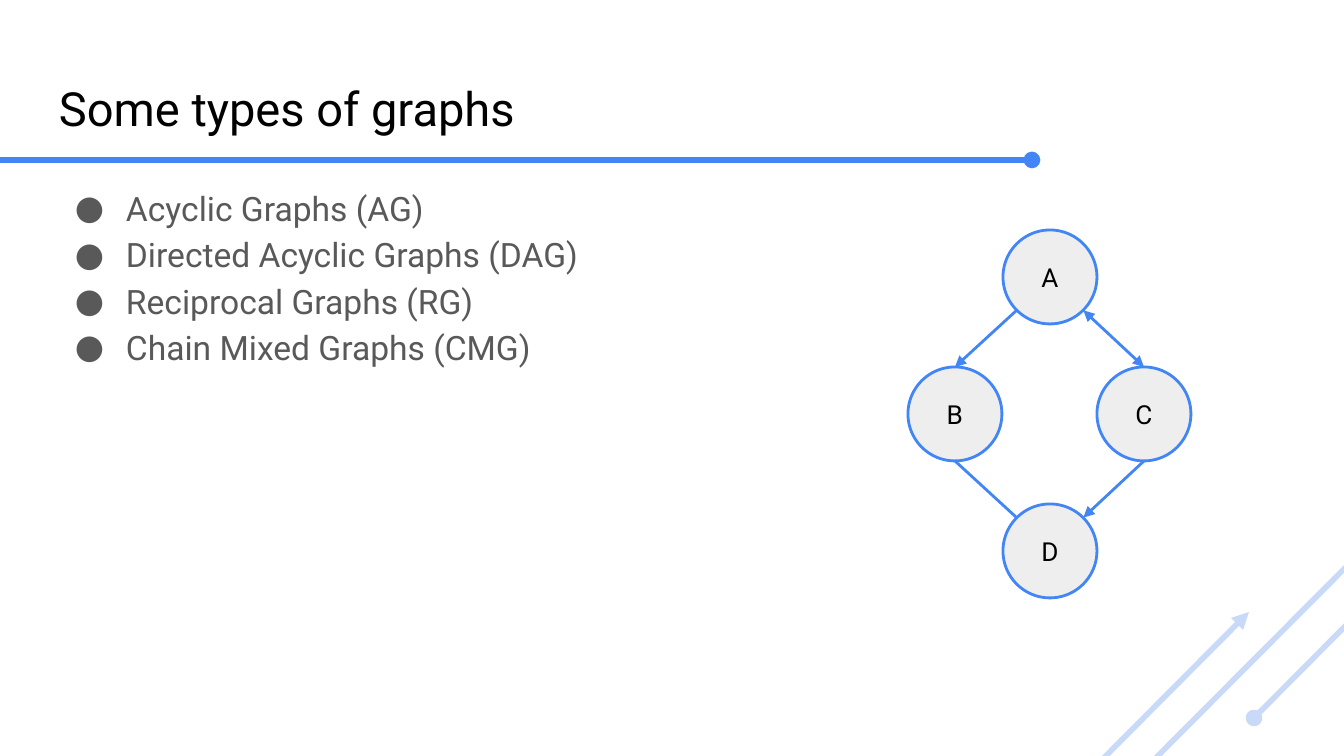
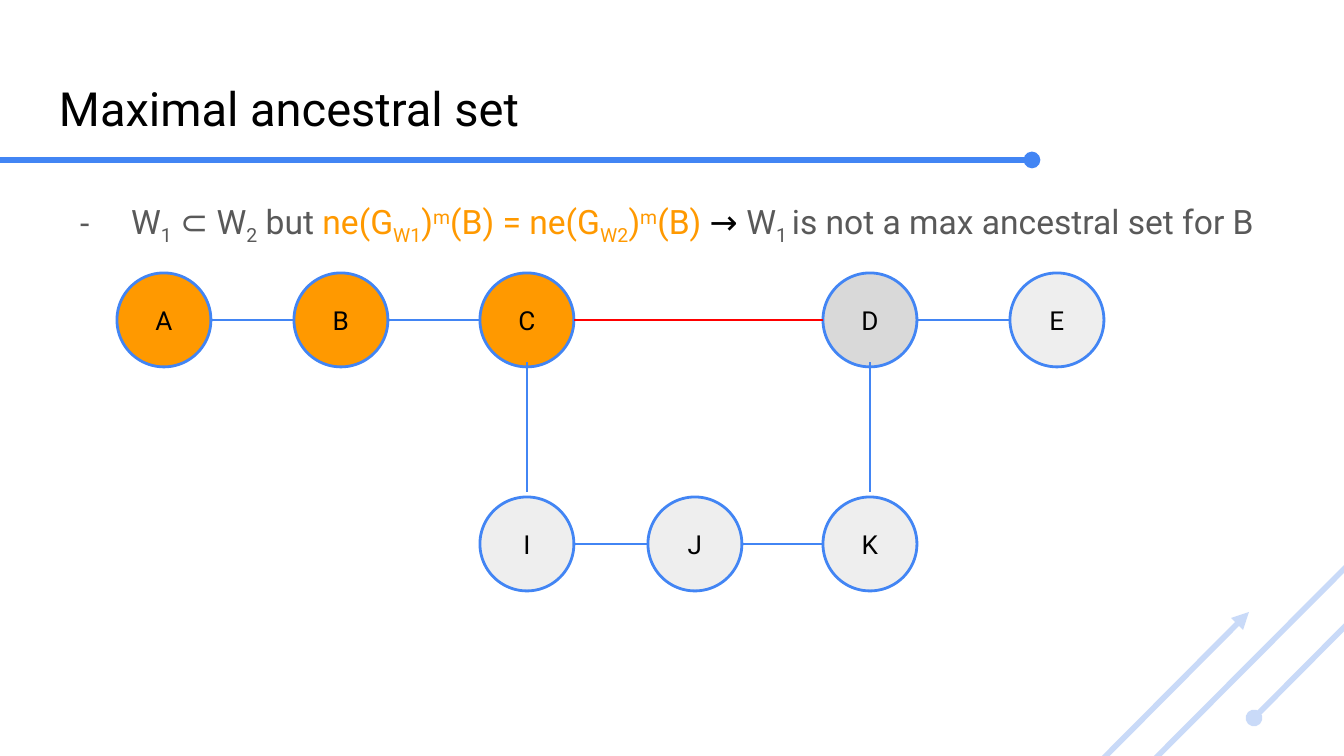
from lxml.etree import SubElement
from pptx import Presentation
from pptx.dml.color import RGBColor
from pptx.enum.shapes import MSO_CONNECTOR, MSO_SHAPE
from pptx.enum.text import MSO_ANCHOR, MSO_AUTO_SIZE, PP_ALIGN
from pptx.oxml.ns import qn
from pptx.util import Emu, Pt

# Shared look
FONT = "Roboto"
BLACK, GREY, WHITE = "000000", "595959", "FFFFFF"
BLUE, PALE_BLUE, RED = "4285F4", "C9DAF8", "FF0000"
ORANGE, LIGHT, MID = "FF9900", "EEEEEE", "D9D9D9"
SLIDE_SIZE = (1344, 756)
EMU_PER_PX = 914400 / 134.4
TITLE_BOX = (46, 66, 1253, 85)
INSET, BULLET_INDENT, BULLET_HANG = 13, 67, 51
RADIUS = 47
SUB, SUPER = -25000, 30000

# Title rule and corner lines: start, end, colour, start mark, end mark
DECORATION = [
    ((-11, 160), (1032, 160), BLUE, None, "oval"),
    ((1254, 718), (1400, 571), PALE_BLUE, "oval", None),
    ((1121, 793), (1353, 560), PALE_BLUE, None, None),
    ((1249, 612), (1081, 781), PALE_BLUE, "triangle", None),
]

# Points on a node's rim, in radii from its centre
DIAGONAL = 0.71
RIM = {
    "top": (0, -1), "bottom": (0, 1), "left": (-1, 0), "right": (1, 0),
    "top left": (-DIAGONAL, -DIAGONAL), "top right": (DIAGONAL, -DIAGONAL),
    "bottom left": (-DIAGONAL, DIAGONAL), "bottom right": (DIAGONAL, DIAGONAL),
}

# Content: bullets hold runs (text, colour, baseline), nodes hold (x, y, fill),
# edges hold (node, side, node, side, colour, start mark, end mark, shift down)
GRAPH_TYPES = ["Acyclic Graphs (AG)", "Directed Acyclic Graphs (DAG)",
               "Reciprocal Graphs (RG)", "Chain Mixed Graphs (CMG)"]
UPPER, LOWER = 320, 544
SLIDES = [
    {
        "title": "Some types of graphs",
        "body_box": (46, 169, 1253, 503),
        "bullet": "●",
        "bullets": [[(name, GREY, 0)] for name in GRAPH_TYPES],
        "nodes": {
            "A": (1050, 277, LIGHT), "B": (955, 414, LIGHT),
            "C": (1144, 414, LIGHT), "D": (1050, 551, LIGHT),
        },
        "edges": [
            ("A", "bottom left", "B", "top", BLUE, None, "triangle", 0),
            ("A", "bottom right", "C", "top", BLUE, "triangle", "triangle", 0),
            ("B", "bottom", "D", "top left", BLUE, None, None, 0),
            ("C", "bottom", "D", "top right", BLUE, None, "triangle", 0),
        ],
    },
    {
        "title": "Maximal ancestral set",
        "body_box": (51, 181, 1253, 503),
        "bullet": "-",
        "bullets": [[
            ("W", GREY, 0), ("1", GREY, SUB), (" ⊂ W", GREY, 0),
            ("2", GREY, SUB), (" but ", GREY, 0),
            ("ne(G", ORANGE, 0), ("W1", ORANGE, SUB), (")", ORANGE, 0),
            ("m", ORANGE, SUPER), ("(B) = ne(G", ORANGE, 0),
            ("W2", ORANGE, SUB), (")", ORANGE, 0), ("m", ORANGE, SUPER),
            ("(B)", ORANGE, 0), (" → ", BLACK, 0), ("W", GREY, 0),
            ("1 ", GREY, SUB), ("is not a max ancestral set for B", GREY, 0),
        ]],
        "nodes": {
            "A": (164, UPPER, ORANGE), "B": (341, UPPER, ORANGE),
            "C": (527, UPPER, ORANGE), "D": (870, UPPER, MID),
            "E": (1057, UPPER, LIGHT), "I": (527, LOWER, LIGHT),
            "J": (695, LOWER, LIGHT), "K": (870, LOWER, LIGHT),
        },
        "edges": [
            ("I", "right", "J", "left", BLUE, None, None, 0),
            ("J", "right", "K", "left", BLUE, None, None, 0),
            ("B", "left", "A", "right", BLUE, None, None, 0),
            ("I", "top", "C", "bottom", BLUE, None, None, -5),
            ("K", "top", "D", "bottom", BLUE, None, None, -5),
            ("C", "left", "B", "right", BLUE, None, None, 0),
            ("E", "left", "D", "right", BLUE, None, None, 0),
            ("D", "left", "C", "right", RED, None, None, 0),
        ],
    },
]


def px(length):
    return Emu(round(length * EMU_PER_PX))


def rgb(colour):
    return RGBColor.from_string(colour)


def set_frame(frame, anchor):
    frame.word_wrap = True
    frame.auto_size = MSO_AUTO_SIZE.NONE
    frame.vertical_anchor = anchor
    frame.margin_left = frame.margin_right = px(INSET)
    frame.margin_top = frame.margin_bottom = px(INSET)


def place(shape, box):
    shape.left, shape.top, shape.width, shape.height = map(px, box)


def add_run(paragraph, text, size, colour, baseline=0):
    run = paragraph.add_run()
    run.text = text
    run.font.name = FONT
    run.font.size = Pt(size)
    run.font.color.rgb = rgb(colour)
    if baseline:
        run.font._rPr.set("baseline", str(baseline))


def set_bullet(paragraph, bullet):
    properties = paragraph._p.get_or_add_pPr()
    properties.set("marL", str(px(BULLET_INDENT)))
    properties.set("indent", str(-px(BULLET_HANG)))
    colour = SubElement(properties, qn("a:buClr"))
    SubElement(colour, qn("a:srgbClr"), val=GREY)
    SubElement(properties, qn("a:buFont"), typeface=FONT)
    SubElement(properties, qn("a:buChar"), char=bullet)


def add_title(slide, text):
    title = slide.shapes.title
    place(title, TITLE_BOX)
    set_frame(title.text_frame, MSO_ANCHOR.TOP)
    paragraph = title.text_frame.paragraphs[0]
    paragraph.alignment = PP_ALIGN.LEFT
    add_run(paragraph, text, 25.2, BLACK)


def add_bullets(slide, box, bullet, bullets):
    body = slide.placeholders[1]
    place(body, box)
    frame = body.text_frame
    set_frame(frame, MSO_ANCHOR.TOP)
    for index, runs in enumerate(bullets):
        paragraph = frame.add_paragraph() if index else frame.paragraphs[0]
        set_bullet(paragraph, bullet)
        paragraph.line_spacing = 1.15
        paragraph.space_before = paragraph.space_after = Pt(0)
        for text, colour, baseline in runs:
            add_run(paragraph, text, 18, colour, baseline)


def add_line(slide, start, end, colour, start_mark, end_mark, width):
    line = slide.shapes.add_connector(
        MSO_CONNECTOR.STRAIGHT, *map(px, start + end))
    line.line.color.rgb = rgb(colour)
    line.line.width = Pt(width)
    outline = line.line._get_or_add_ln()
    for tag, mark in (("a:headEnd", start_mark), ("a:tailEnd", end_mark)):
        if mark:
            SubElement(outline, qn(tag), type=mark)
    SubElement(line._element.spPr, qn("a:effectLst"))


def add_node(slide, label, x, y, fill):
    node = slide.shapes.add_shape(
        MSO_SHAPE.OVAL, px(x - RADIUS), px(y - RADIUS),
        px(2 * RADIUS), px(2 * RADIUS))
    node.shadow.inherit = False
    node.fill.solid()
    node.fill.fore_color.rgb = rgb(fill)
    node.line.color.rgb = rgb(BLUE)
    node.line.width = Pt(1.5)
    set_frame(node.text_frame, MSO_ANCHOR.MIDDLE)
    paragraph = node.text_frame.paragraphs[0]
    paragraph.alignment = PP_ALIGN.CENTER
    add_run(paragraph, label, 14, BLACK)


def rim_point(node, side, shift):
    x, y, _ = node
    across, down = RIM[side]
    return x + across * RADIUS, y + down * RADIUS + shift


def build_slide(deck, content):
    slide = deck.slides.add_slide(deck.slide_layouts[1])
    slide.background.fill.solid()
    slide.background.fill.fore_color.rgb = rgb(WHITE)
    add_title(slide, content["title"])
    add_bullets(slide, content["body_box"], content["bullet"],
                content["bullets"])
    for decoration in DECORATION:
        add_line(slide, *decoration, width=3)

    # Graph
    nodes = content["nodes"]
    for label, node in nodes.items():
        add_node(slide, label, *node)
    for first, side, second, far_side, colour, *marks, shift in content["edges"]:
        add_line(slide, rim_point(nodes[first], side, shift),
                 rim_point(nodes[second], far_side, shift),
                 colour, *marks, width=1.5)


def main():
    deck = Presentation()
    deck.slide_width, deck.slide_height = map(px, SLIDE_SIZE)
    for content in SLIDES:
        build_slide(deck, content)
    deck.save("out.pptx")


if __name__ == "__main__":
    main()
